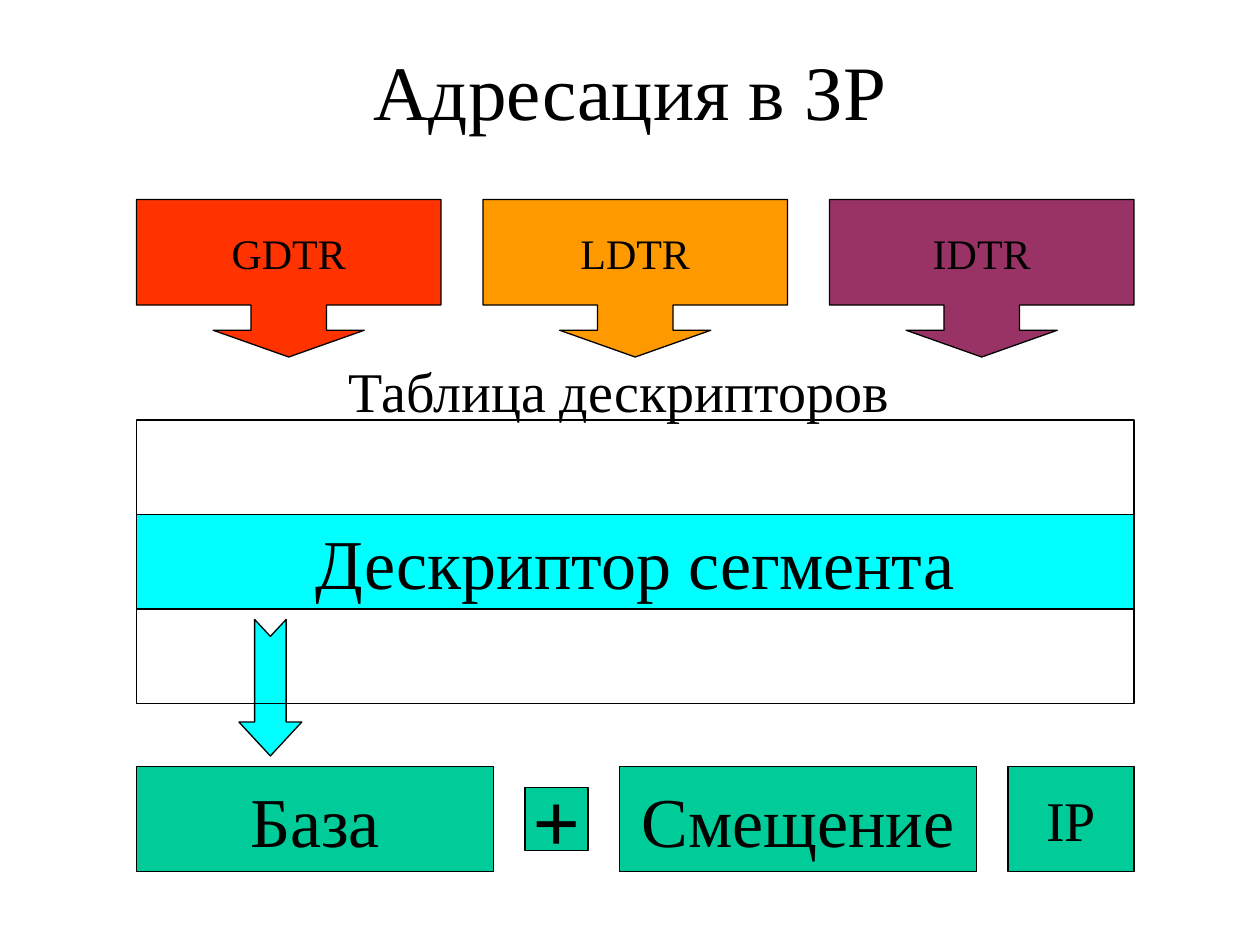
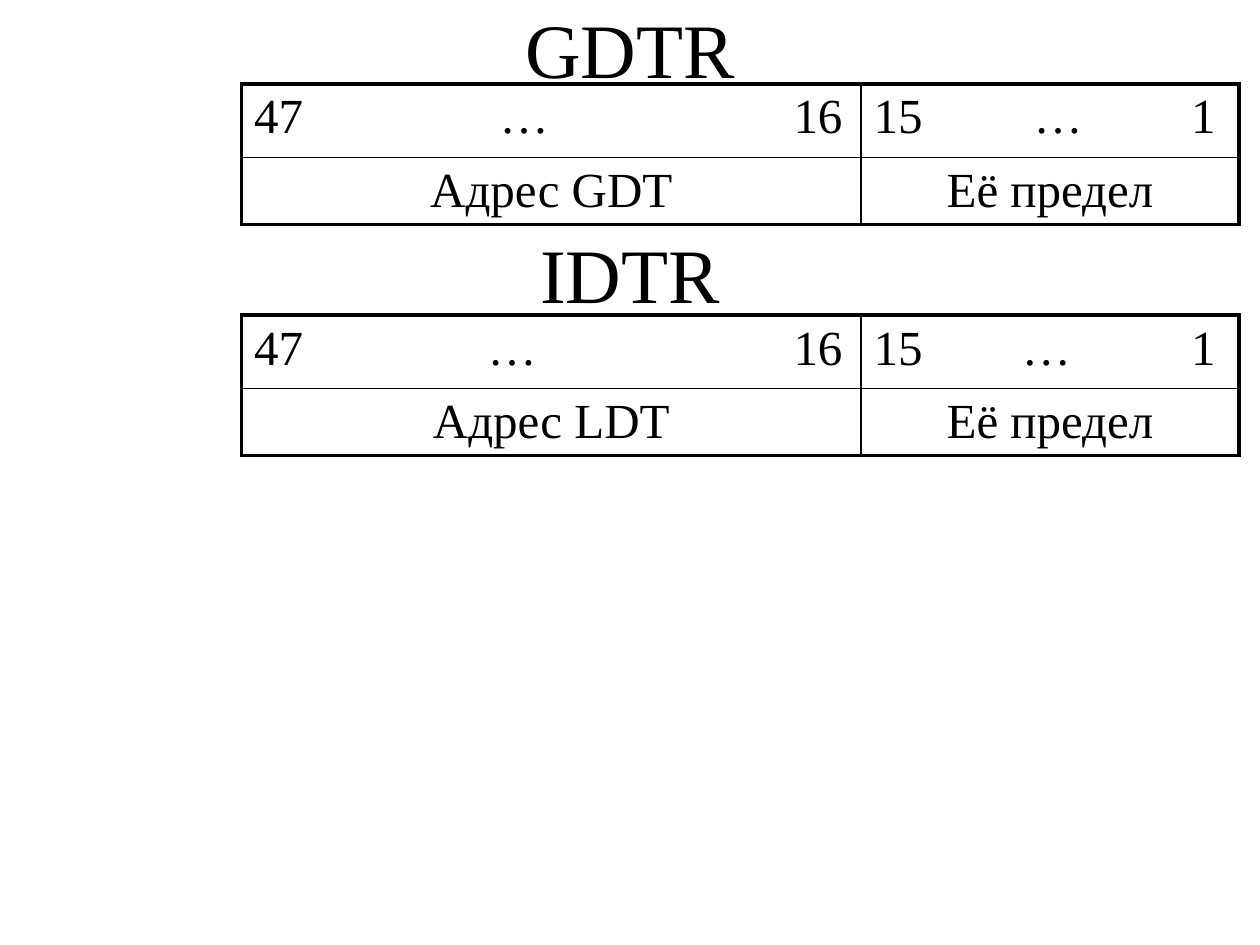
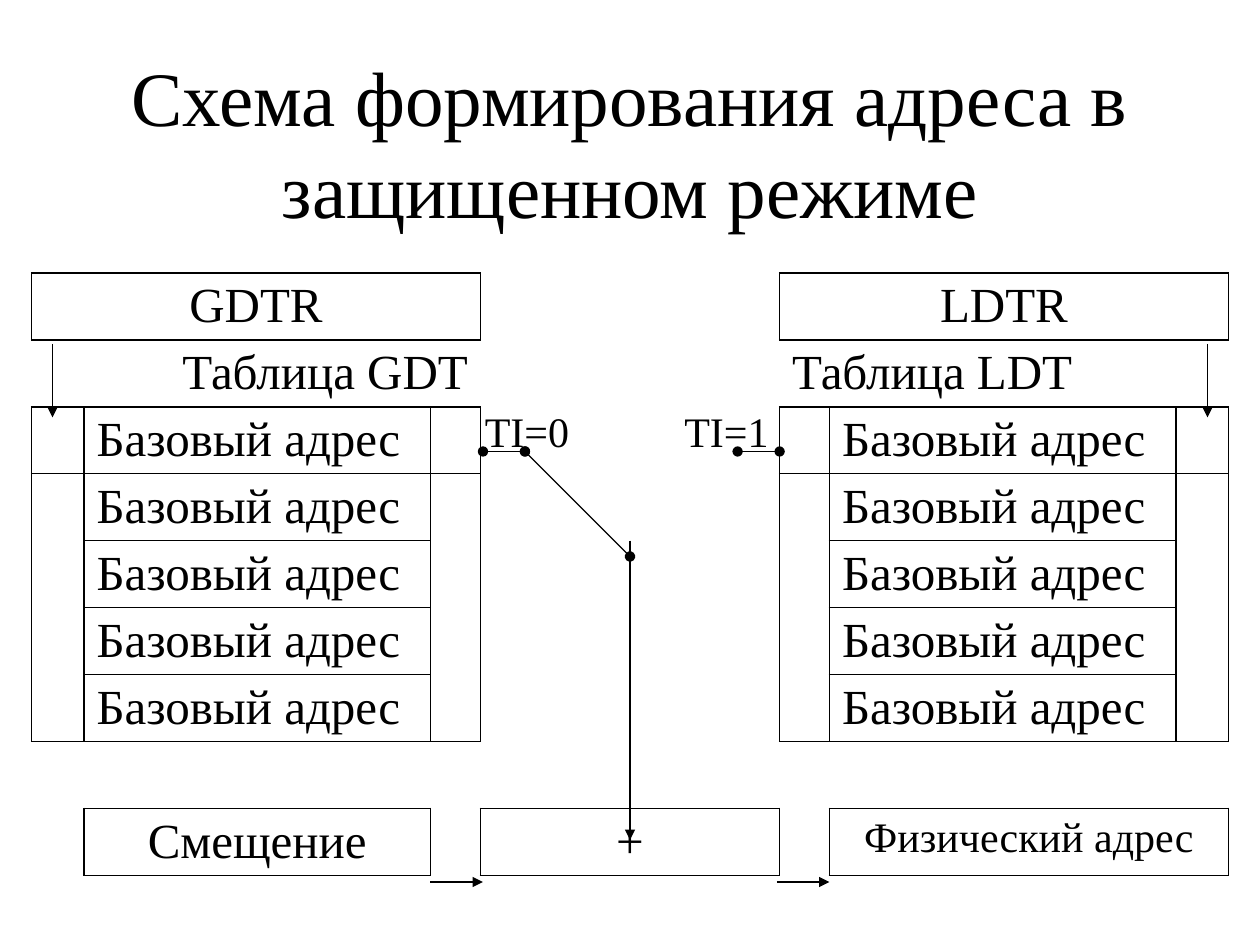
from lxml import etree
from pptx import Presentation
from pptx.dml.color import RGBColor
from pptx.enum import shapes, text
from pptx.oxml import ns
from pptx.util import Pt

PX = 9525  # 96 px to the inch
FONT = "Times New Roman"
BLACK = RGBColor(0x00, 0x00, 0x00)
GREEN = RGBColor(0x00, 0xCC, 0x99)
CYAN = RGBColor(0x00, 0xFF, 0xFF)
RED = RGBColor(0xFF, 0x33, 0x00)
AMBER = RGBColor(0xFF, 0x99, 0x00)
PLUM = RGBColor(0x99, 0x33, 0x66)
PLAIN = "{2D5ABB26-0587-4C30-8999-92F81FD0307C}"  # table style without grid
LEFT, MID, RIGHT = text.PP_ALIGN.LEFT, text.PP_ALIGN.CENTER, text.PP_ALIGN.RIGHT
KIND = shapes.MSO_SHAPE


def write(frame, words, size, align=MID, bold=False):
    frame.text = words
    para = frame.paragraphs[0]
    para.alignment = align
    for run in para.runs:
        run.font.name = FONT
        run.font.size = Pt(size)
        run.font.bold = bold
        run.font.color.rgb = BLACK


def edge(cell, sides):
    """Draw cell borders; sides maps L, R, T, B to a width in points."""
    props = cell._tc.get_or_add_tcPr()
    spot = 0
    for side in "LRTB":
        if side in sides:
            line = etree.Element(ns.qn("a:ln" + side), w=str(int(Pt(sides[side]))))
            fill = etree.SubElement(line, ns.qn("a:solidFill"))
            etree.SubElement(fill, ns.qn("a:srgbClr"), val=str(BLACK))
            props.insert(spot, line)
            spot += 1


deck = Presentation()
deck.slide_width, deck.slide_height = 960 * PX, 720 * PX

# Slides and titles
pages = []
for words, top, high in [
    ("Адресация в ЗР", 8, 120),
    ("GDTR", 8, 56),
    ("Схема формирования адреса в защищенном режиме", 48, 120),
]:
    page = deck.slides.add_slide(deck.slide_layouts[5])
    title = page.shapes.title
    title.left, title.top, title.width, title.height = 72 * PX, top * PX, 816 * PX, high * PX
    write(title.text_frame, words, 44)
    title.text_frame.vertical_anchor = text.MSO_ANCHOR.MIDDLE
    title.text_frame.auto_size = text.MSO_AUTO_SIZE.NONE
    pages.append(page)
first, second, third = pages

# Slide 1: address parts, descriptor table and registers
items = [
    (KIND.RECTANGLE, 472, 584, 272, 80, GREEN, "Смещение", 40),
    (KIND.RECTANGLE, 104, 584, 272, 80, GREEN, "База", 40),
    (KIND.RECTANGLE, 400, 600, 48, 48, GREEN, "+", 48),
    (KIND.RECTANGLE, 768, 584, 96, 80, GREEN, "IP", 32),
    (KIND.RECTANGLE, 104, 392, 760, 72, CYAN, "Дескриптор сегмента", 40),
    (KIND.NOTCHED_RIGHT_ARROW, 154, 500, 104, 48, CYAN, "", 24),
    (KIND.RECTANGLE, 104, 320, 760, 72, None, "", 24),
    (KIND.RECTANGLE, 104, 464, 760, 72, None, "", 24),
]
for i, (name, tint) in enumerate([("GDTR", RED), ("LDTR", AMBER), ("IDTR", PLUM)]):
    items.append((KIND.DOWN_ARROW_CALLOUT, 104 + 264 * i, 152, 232, 120, tint, name, 24))
tweaks = {
    KIND.NOTCHED_RIGHT_ARROW: (0.5, 0.54),
    KIND.DOWN_ARROW_CALLOUT: (0.48, 0.48, 0.17, 0.67),
}
for kind, x, y, wide, high, tint, words, size in items:
    item = first.shapes.add_shape(kind, x * PX, y * PX, wide * PX, high * PX)
    item.shadow.inherit = False
    item.line.color.rgb = BLACK
    item.line.width = Pt(0.75)
    if tint is None:
        item.fill.background()
    else:
        item.fill.solid()
        item.fill.fore_color.rgb = tint
    for i, value in enumerate(tweaks.get(kind, ())):
        item.adjustments[i] = value
    if kind == KIND.NOTCHED_RIGHT_ARROW:
        item.rotation = 90
    if words:
        write(item.text_frame, words, size, bold=words == "+")
        item.text_frame.word_wrap = False
        item.text_frame.vertical_anchor = text.MSO_ANCHOR.MIDDLE

# Slide 2: register layouts, with tab stops between the bit numbers
for top, name, dots in [(64, "GDT", (187, 122)), (240, "LDT", (178, 113))]:
    grid = second.shapes.add_table(2, 2, 184 * PX, top * PX, 760 * PX, 107 * PX).table
    grid._tbl.tblPr.find(ns.qn("a:tableStyleId")).text = PLAIN
    grid.first_row = grid.horz_banding = False
    for c, wide in enumerate((472, 288)):
        grid.columns[c].width = wide * PX
    for r, high in enumerate((56, 51)):
        grid.rows[r].height = high * PX
    rows = [("47\t…\t16", "15\t…\t1"), ("Адрес " + name, "Её предел")]
    for r, row in enumerate(rows):
        for c, words in enumerate(row):
            cell = grid.cell(r, c)
            cell.fill.background()
            write(cell.text_frame, words, 28, MID if r else LEFT)
            edge(cell, {"L": 1 if c else 2.25, "R": 2.25 if c else 1,
                        "T": 1 if r else 2.25, "B": 2.25 if r else 1})
    for c, last in enumerate((411, 242)):
        props = grid.cell(0, c).text_frame.paragraphs[0]._p.get_or_add_pPr()
        tabs = etree.SubElement(props, ns.qn("a:tabLst"))
        for stop in (dots[c], last):
            etree.SubElement(tabs, ns.qn("a:tab"), pos=str(stop * PX), algn="l")

# Slide 3: scheme grid
WIDTHS = (40, 264, 38, 114, 114, 38, 264, 40)
grid = third.shapes.add_table(9, 8, 24 * PX, 208 * PX, 912 * PX, 459 * PX).table
grid._tbl.tblPr.find(ns.qn("a:tableStyleId")).text = PLAIN
grid.first_row = grid.horz_banding = False
for c, wide in enumerate(WIDTHS):
    grid.columns[c].width = wide * PX
for row in grid.rows:
    row.height = 51 * PX
    for cell in row.cells:
        cell.fill.background()

# Entries: row, first column, last column, words, size, alignment
entries = [
    (0, 0, 2, "GDTR", 28, MID),
    (0, 5, 7, "LDTR", 28, MID),
    (1, 1, 2, "Таблица GDT", 28, RIGHT),
    (1, 5, 6, "Таблица LDT", 28, LEFT),
    (8, 1, 1, "Смещение", 28, MID),
    (8, 3, 4, "+", 28, MID),
    (8, 6, 7, "Физический адрес", 24, MID),
]
entries += [(r, c, c, "Базовый адрес", 28, LEFT) for r in range(2, 7) for c in (1, 6)]
frames = [(2, c, 6, c) for c in (0, 2, 5, 7)]
for r, start, end, words, size, align in entries:
    cell = grid.cell(r, start)
    if end > start:
        cell.merge(grid.cell(r, end))
    write(cell.text_frame, words, size, align)
    if r != 1:
        frames.append((r, start, r, end))

# Outline of each frame; a merged cell carries all four sides
for top, start, low, end in frames:
    for r in range(top, low + 1):
        for c in range(start, end + 1):
            cell = grid.cell(r, c)
            ends = {"L": c == start, "R": c == end or cell.is_merge_origin,
                    "T": r == top, "B": r == low}
            edge(cell, {side: 1 for side in ends if ends[side]})
for r in range(4, 8):
    edge(grid.cell(r, 3), {"R": 1})

# Slide 3: switch and arrows
for x, y, x2, y2, head in [
    (40, 262, 40, 318, None),
    (920, 262, 920, 318, None),
    (368, 344, 400, 344, "oval"),
    (562, 344, 594, 344, "oval"),
    (400, 344, 480, 424, "oval"),
    (328, 672, 368, 672, None),
    (480, 424, 480, 640, None),
    (592, 672, 632, 672, None),
]:
    wire = third.shapes.add_connector(
        shapes.MSO_CONNECTOR.STRAIGHT, x * PX, y * PX, x2 * PX, y2 * PX)
    wire.line.color.rgb = BLACK
    wire.line.width = Pt(0.75)
    line = wire.line._get_or_add_ln()
    if head:
        etree.SubElement(line, ns.qn("a:headEnd"), type=head)
    etree.SubElement(line, ns.qn("a:tailEnd"), type=head or "triangle")
    etree.SubElement(wire._element.spPr, ns.qn("a:effectLst"))

# Free labels
for page, x, y, wide, high, words, size, align in [
    (first, 256, 267, 448, 60, "Таблица дескрипторов", 32, LEFT),
    (second, 72, 176, 816, 64, "IDTR", 44, MID),
    (third, 360, 304, 88, 48, "TI=0", 24, LEFT),
    (third, 512, 304, 88, 48, "TI=1", 24, LEFT),
]:
    label = page.shapes.add_textbox(x * PX, y * PX, wide * PX, high * PX).text_frame
    label.word_wrap = True
    write(label, words, size, align)
    if align == MID:
        label.vertical_anchor = text.MSO_ANCHOR.MIDDLE

deck.save("out.pptx")
